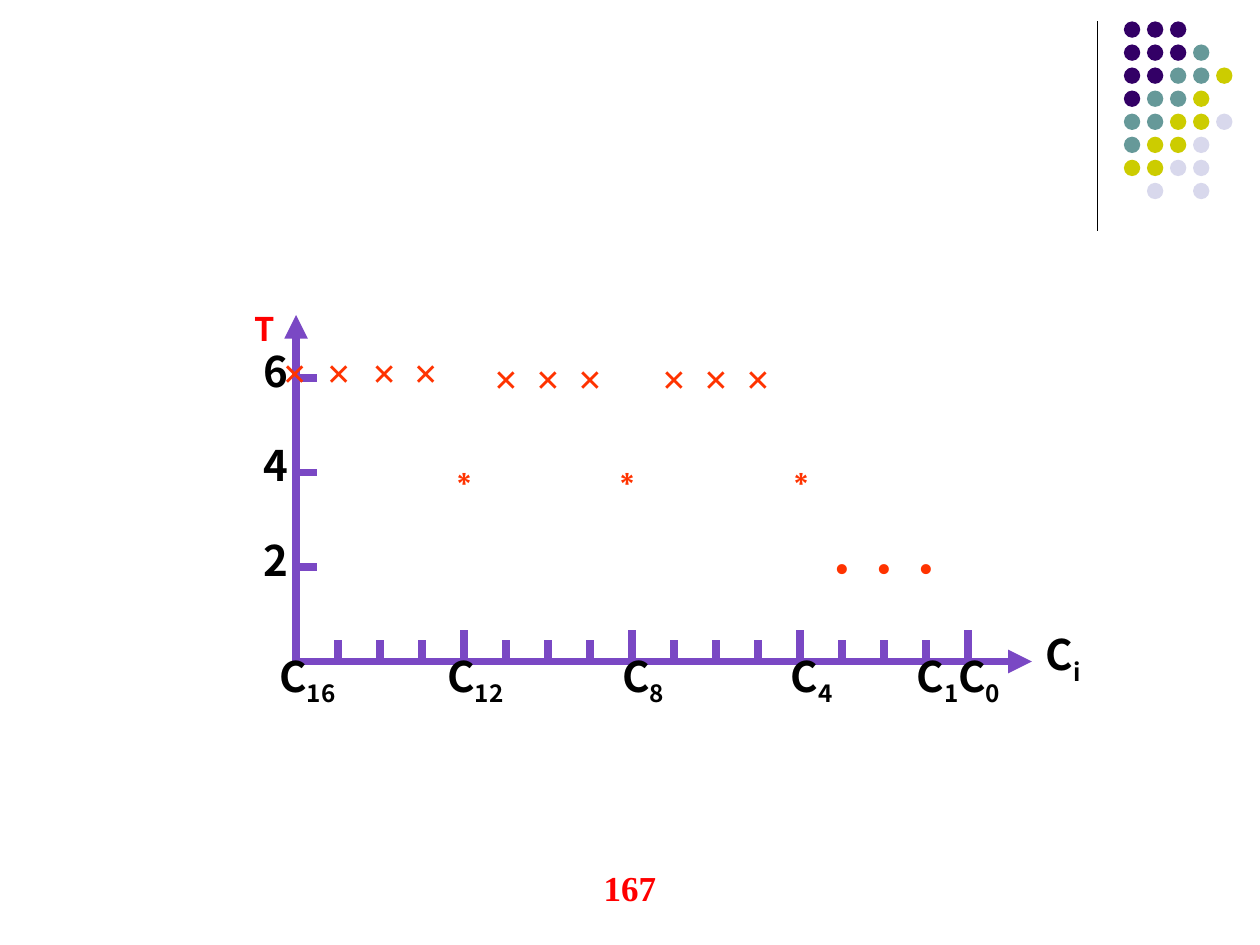
"""Build the slide that plots T against the carries C16 to C0."""
from lxml import etree
from pptx import Presentation
from pptx import util as u
from pptx.dml.color import RGBColor
from pptx.enum import shapes, text
from pptx.oxml.ns import qn

HUES = {"axis": "7A48C4", "mark": "FF3300", "red": "FF0000", "ink": "000000",
        "P": "330066", "T": "669999", "Y": "CCCC00", "L": "D8D8EC"}
SANS, SERIF = "Noto Sans CJK SC", "Times New Roman"

deck = Presentation()
deck.slide_width, deck.slide_height = u.Inches(10), u.Inches(7.5)
slide = deck.slides.add_slide(deck.slide_layouts[6])


def rule(x1, y1, x2, y2, hue="axis", width=4.5, arrow=False):
    """Draw a straight line, with an arrowhead at its end if asked."""
    line = slide.shapes.add_connector(
        shapes.MSO_CONNECTOR.STRAIGHT, *map(u.Inches, (x1, y1, x2, y2)))
    line.line.color.rgb = RGBColor.from_string(HUES[hue])
    line.line.width = u.Pt(width)
    if arrow:
        etree.SubElement(line.line._get_or_add_ln(), qn("a:tailEnd"), type="triangle")
    etree.SubElement(line._element.spPr, qn("a:effectLst"))


def label(mid, top, runs, hue="ink", face=SANS, size=24, bold=True, width=1.17):
    """Centre a line of text on mid; runs pairs each string with a subscript flag."""
    box = slide.shapes.add_textbox(
        *map(u.Inches, (mid - width / 2, top, width, 0.5)))
    frame = box.text_frame
    frame.word_wrap = True
    frame.vertical_anchor = text.MSO_ANCHOR.TOP
    para = frame.paragraphs[0]
    para.alignment = text.PP_ALIGN.CENTER
    for words, sub in runs:
        run = para.add_run()
        run.text = words
        font = run.font
        font.name, font.size, font.bold = face, u.Pt(size), bold
        font.color.rgb = RGBColor.from_string(HUES[hue])
        props = run._r.get_or_add_rPr()
        etree.SubElement(props, qn("a:ea"), typeface=face)
        if sub:
            props.set("baseline", "-25000")


rule(8.71, 0.17, 8.71, 1.83, "ink", 0.75)
dots = ["PPP", "PPPT", "PPTTY", "PTTY", "TTYYL", "TYYL", "YYLL", " L L"]
for row, line in enumerate(dots):
    for col, key in enumerate(line):
        if key == " ":
            continue
        dot = slide.shapes.add_shape(
            shapes.MSO_SHAPE.OVAL, u.Inches(8.92 + col * 0.183),
            u.Inches(0.17 + row * 0.183), u.Inches(0.13), u.Inches(0.13))
        dot.shadow.inherit = False
        dot.fill.solid()
        dot.fill.fore_color.rgb = RGBColor.from_string(HUES[key])
        dot.line.fill.background()

left, base, step = 2.35, 5.25, 1 / 3
rule(left, base, 8.19, base, arrow=True)
rule(left, base, left, 2.5, arrow=True)
for tick in range(1, 17):
    x = left + tick * step
    rule(x, 5 if tick % 4 == 0 else 5.08, x, base)
for carry in (16, 12, 8, 4, 1, 0):
    label(left + 0.09 + (16 - carry) * step, 5.11, [("C", False), (str(carry), True)])
for value in (2, 4, 6):
    y = base - value * 0.375
    rule(left, y, left + 0.17, y)
    label(2.19, y - 0.31, [(str(value), False)], width=0.5)
label(8.44, 4.94, [("C", False), ("i", True)])
label(2.1, 2.11, [("T", True)], "red", size=32)

for carry in (3, 2, 1):
    label(left + (16 - carry) * step, 4.25, [("•", False)], "mark", SERIF, bold=False)
for x in (3.69, 4.98, 6.36):
    label(x, 3.5, [("∗", False)], "mark", SERIF)
for x in (2.34, 2.69, 3.05, 3.38):
    label(x, 2.7, [("×", False)], "mark", SERIF)
for carry in (11, 10, 9, 7, 6, 5):
    label(left + (16 - carry) * step, 2.75, [("×", False)], "mark", SERIF)

label(5, 6.83, [("167", False)], "red", SERIF, 20)
deck.save("out.pptx")
